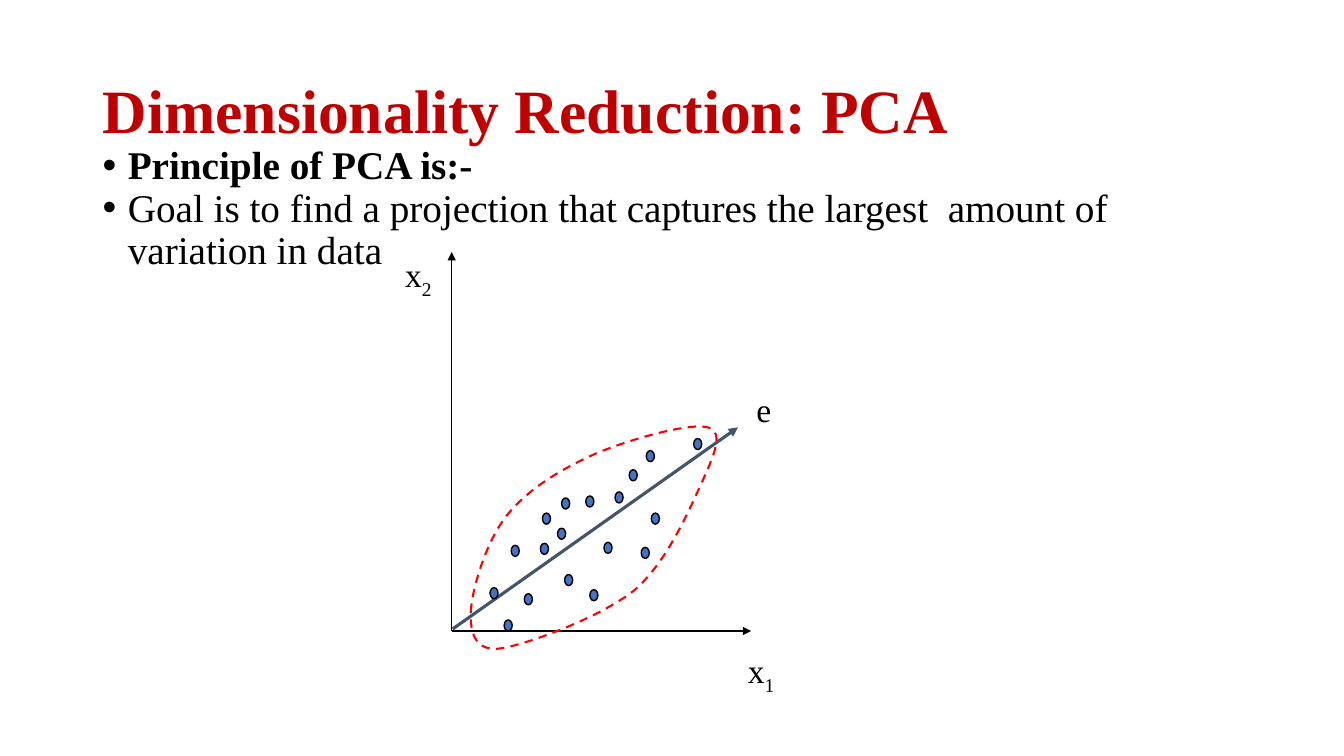
import pptx
import pptx.dml.color
import pptx.enum.dml
import pptx.enum.shapes
import pptx.enum.text
import pptx.oxml.ns
import pptx.util
from lxml import etree

PX = 9144  # EMU per px, 100 px to the inch
FACE = "Times New Roman"
BLACK, RED, TITLE, BLUE, SLATE = "000000", "FF0000", "C00000", "4472C4", "44546A"

DOTS = [
    (507, 541), (538, 509), (486, 583), (553, 524), (536, 539), (599, 538),
    (585, 585), (560, 570), (581, 492), (646, 509), (688, 435), (520, 589),
    (610, 488), (641, 447), (557, 494), (624, 466), (636, 543), (500, 615),
]
START = (467, 607)
CURVES = [
    [(468, 585), (482, 537), (503, 511)],
    [(524, 485), (557, 465), (591, 450)],
    [(624, 436), (684, 419), (702, 424)],
    [(719, 429), (708, 452), (696, 479)],
    [(684, 505), (662, 557), (630, 585)],
    [(597, 612), (526, 638), (499, 643)],
    [(472, 648), (466, 629), START],
]


def emu(*px):
    return [pptx.util.Emu(n * PX) for n in px]


def rgb(code):
    return pptx.dml.color.RGBColor.from_string(code)


def sub(node, tag, **attrs):
    return etree.SubElement(node, pptx.oxml.ns.qn(tag), attrs)


def style(para, size, color=BLACK, bold=False):
    font = para.font
    font.name, font.size, font.bold = FACE, pptx.util.Pt(size), bold
    font.color.rgb = rgb(color)


def stroke(line, color, width):
    line.color.rgb = rgb(color)
    line.width = pptx.util.Pt(width)


def bullet(para):
    props = para._p.get_or_add_pPr()
    props.set("marL", str(25 * PX))
    props.set("indent", str(-25 * PX))
    sub(sub(props, "a:buClr"), "a:srgbClr", val=BLACK)
    sub(props, "a:buFont", typeface="Arial")
    sub(props, "a:buChar", char="•")


def title(shapes, text):
    frame = shapes.add_textbox(*emu(92, 40, 1150, 145)).text_frame
    frame.word_wrap = True
    frame.vertical_anchor = pptx.enum.text.MSO_ANCHOR.MIDDLE
    para = frame.paragraphs[0]
    para.text, para.line_spacing = text, 0.9
    style(para, 44, TITLE, True)


def body(shapes, items):
    frame = shapes.add_textbox(*emu(92, 140, 1150, 535)).text_frame
    frame.word_wrap = True
    for i, (text, bold) in enumerate(items):
        para = frame.add_paragraph() if i else frame.paragraphs[0]
        bullet(para)
        para.text, para.line_spacing = text, 0.9
        style(para, 28, bold=bold)


def arrow(shapes, start, end, color, width):
    kind = pptx.enum.shapes.MSO_CONNECTOR.STRAIGHT
    link = shapes.add_connector(kind, *emu(*start, *end))
    stroke(link.line, color, width)
    sub(link.line._get_or_add_ln(), "a:tailEnd", type="triangle")
    sub(link._element.spPr, "a:effectLst")


def dot(shapes, x, y):
    kind = pptx.enum.shapes.MSO_SHAPE.OVAL
    oval = shapes.add_shape(kind, *emu(x, y, 8, 11))
    oval.shadow.inherit = False
    oval.fill.solid()
    oval.fill.fore_color.rgb = rgb(BLUE)
    stroke(oval.line, BLACK, 1)


def trace(start, curves, steps=12):
    """Return points along a chain of cubic Bezier curves, in EMU."""
    points = []
    for a, b, end in curves:
        for i in range(1, steps + 1):
            t = i / steps
            s = 1 - t
            points.append(tuple(
                round(PX * (s**3 * p + 3*s*s*t * q + 3*s*t*t * r + t**3 * v))
                for p, q, r, v in zip(start, a, b, end)))
        start = end
    return points


def cloud(shapes):
    """Draw the dashed outline around the data points."""
    points = trace(START, CURVES)
    pen = shapes.build_freeform(*points[-1])
    pen.add_line_segments(points[:-1], close=True)
    shape = pen.convert_to_shape()
    shape.shadow.inherit = False
    shape.fill.background()
    stroke(shape.line, RED, 1.5)
    shape.line.dash_style = pptx.enum.dml.MSO_LINE.DASH


def label(shapes, x, y, width, text, low=""):
    """Add a centred label with an optional subscript."""
    frame = shapes.add_textbox(*emu(x, y, width, 50)).text_frame
    frame.word_wrap = False
    frame.auto_size = pptx.enum.text.MSO_AUTO_SIZE.SHAPE_TO_FIT_TEXT
    frame.vertical_anchor = pptx.enum.text.MSO_ANCHOR.MIDDLE
    para = frame.paragraphs[0]
    para.text = text
    para.alignment = pptx.enum.text.PP_ALIGN.CENTER
    style(para, 24)
    if low:
        run = para.add_run()
        run.text = low
        run._r.get_or_add_rPr().set("baseline", "-25000")


def main():
    deck = pptx.Presentation()
    deck.slide_width, deck.slide_height = emu(1333, 750)
    shapes = deck.slides.add_slide(deck.slide_layouts[6]).shapes
    title(shapes, "Dimensionality Reduction: PCA")
    body(shapes, [
        ("Principle of PCA is:-", True),
        ("Goal is to find a projection that captures the largest  amount of "
         "variation in data", False),
    ])

    plot = shapes.add_group_shape().shapes
    base = (448, 626)
    arrow(plot, base, (448, 250), BLACK, 1)
    arrow(plot, base, (745, 626), BLACK, 1)
    arrow(plot, (449, 624), (732, 424), SLATE, 2.25)
    for x, y in DOTS:
        dot(plot, x, y)
    cloud(plot)
    label(plot, 391, 250, 48, "x", "2")
    label(plot, 731, 643, 48, "x", "1")
    label(plot, 740, 381, 35, "e")
    deck.save("out.pptx")


if __name__ == "__main__":
    main()
